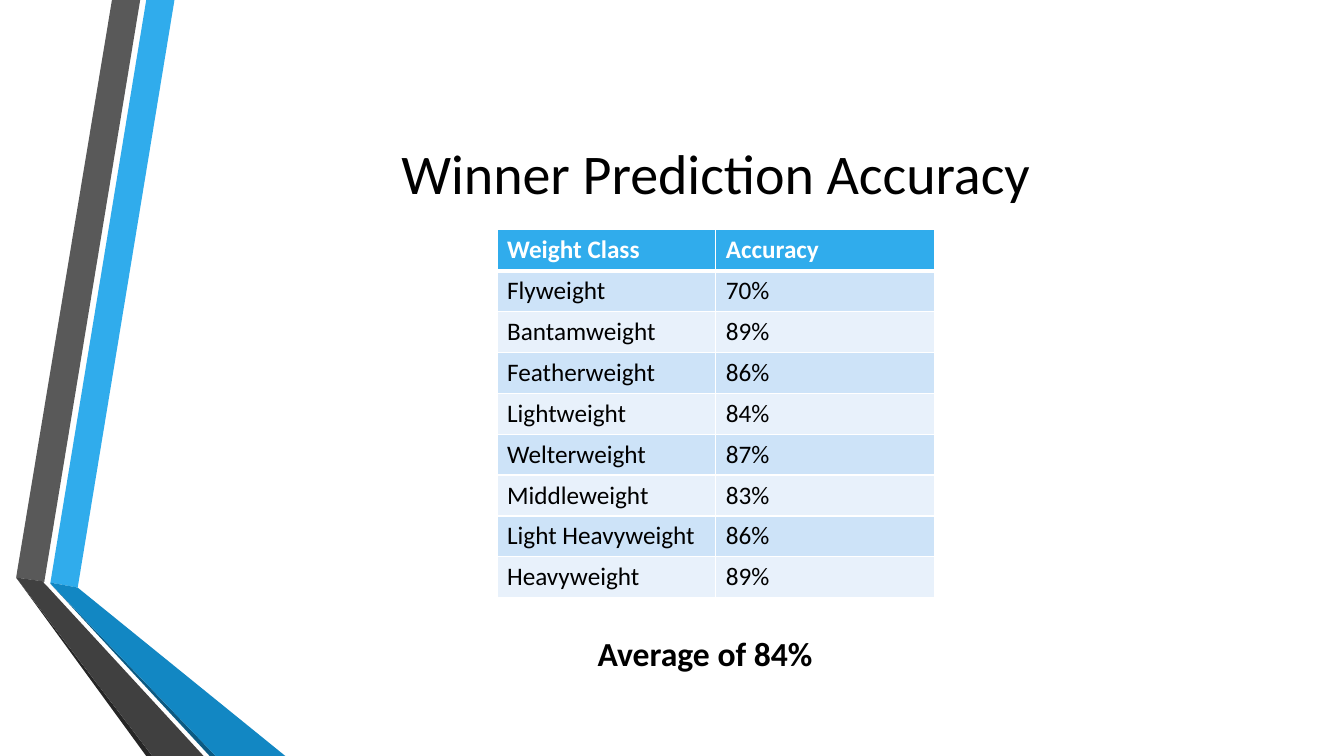
"""Slide: winner prediction accuracy by weight class."""
from dataclasses import dataclass

from lxml import etree
from pptx import Presentation, util as u
from pptx.dml.color import RGBColor
from pptx.enum import text
from pptx.oxml import ns

FONT = "Calibri"
WHITE, BLACK, BLUE = "FFFFFF", "000000", "30ACEC"
BANDS = ("CDE3F8", "E8F1FB")
WIDTH, HEIGHT = u.Inches(13.33), u.Inches(7.5)


@dataclass(frozen=True)
class Ribbon:
    """A filled outline; points are percentages of the slide's size."""
    color: str
    points: tuple[tuple[float, float], ...]


@dataclass(frozen=True)
class Area:
    """A rectangle in percentages of the slide's size."""
    left: float
    top: float
    width: float
    height: float

    def emu(self) -> tuple[int, int, int, int]:
        """Return left, top, width and height as lengths."""
        return (across(self.left), down(self.top),
                across(self.width), down(self.height))


@dataclass(frozen=True)
class Label:
    """A line of text with its area and style."""
    words: str
    area: Area
    size: int
    bold: bool
    align: text.PP_ALIGN
    anchor: text.MSO_ANCHOR


RIBBONS = (
    Ribbon(BLUE, ((3.75, 77.07), (5.78, 77.73), (12.98, 0), (10.88, 0))),
    Ribbon("595959", ((10.43, 0), (8.33, 0), (1.2, 76.4), (3.3, 76.93))),
    Ribbon("262626", ((1.2, 76.4), (10.88, 100), (11.33, 100))),
    Ribbon("0C5A82", ((3.75, 77.2), (15.6, 100), (16.05, 100))),
    Ribbon("1287C3", ((3.75, 77.07), (3.75, 77.2), (16.05, 100),
                      (21.23, 100), (5.78, 77.73))),
    Ribbon("404040", ((15.15, 100), (3.6, 77.73), (3.23, 77.07),
                      (3.3, 76.93), (1.2, 76.4), (11.33, 100))),
)
LABELS = (
    Label("Winner Prediction Accuracy", Area(12.15, 10, 82.2, 25.6), 40, False,
          text.PP_ALIGN.CENTER, text.MSO_ANCHOR.MIDDLE),
    Label("Average of 84%", Area(43.73, 83.07, 19.5, 6.67), 24, True,
          text.PP_ALIGN.LEFT, text.MSO_ANCHOR.TOP),
)
TABLE_AREA = Area(36.98, 30.4, 32.55, 48.67)
ROWS = (
    ("Weight Class", "Accuracy"),
    ("Flyweight", "70%"),
    ("Bantamweight", "89%"),
    ("Featherweight", "86%"),
    ("Lightweight", "84%"),
    ("Welterweight", "87%"),
    ("Middleweight", "83%"),
    ("Light Heavyweight", "86%"),
    ("Heavyweight", "89%"),
)


def across(share: float) -> int:
    """Turn a percentage of the slide's width into a length."""
    return round(WIDTH * share / 100)


def down(share: float) -> int:
    """Turn a percentage of the slide's height into a length."""
    return round(HEIGHT * share / 100)


def paint(target, color: str) -> None:
    """Give a fill a solid colour."""
    target.solid()
    target.fore_color.rgb = RGBColor.from_string(color)


def write(para, words: str, size: int, color: str, bold: bool) -> None:
    """Put styled words into a paragraph."""
    para.text = words
    font = para.font
    font.name, font.size, font.bold = FONT, u.Pt(size), bold
    font.color.rgb = RGBColor.from_string(color)


def draw_ribbon(page, ribbon: Ribbon) -> None:
    """Draw one strip of the side decoration."""
    start, *rest = [(across(x), down(y)) for x, y in ribbon.points]
    builder = page.shapes.build_freeform(*start)
    builder.add_line_segments(rest, close=True)
    shape = builder.convert_to_shape()
    shape.shadow.inherit = False
    shape.line.fill.background()
    paint(shape.fill, ribbon.color)


def draw_label(page, label: Label) -> None:
    """Draw one text box."""
    frame = page.shapes.add_textbox(*label.area.emu()).text_frame
    frame.word_wrap = True
    frame.vertical_anchor = label.anchor
    para = frame.paragraphs[0]
    para.alignment = label.align
    write(para, label.words, label.size, BLACK, label.bold)


def edge_cell(cell, top: int, bottom: int) -> None:
    """Give a cell white borders, one point wide at its sides."""
    properties = cell._tc.get_or_add_tcPr()
    widths = {"lnL": 1, "lnR": 1, "lnT": top, "lnB": bottom}
    for place, (side, width) in enumerate(widths.items()):
        line = etree.Element(ns.qn(f"a:{side}"), w=str(u.Pt(width)))
        fill = etree.SubElement(line, ns.qn("a:solidFill"))
        etree.SubElement(fill, ns.qn("a:srgbClr"), val=WHITE)
        properties.insert(place, line)


def draw_table(page) -> None:
    """Draw the accuracy table with a header and banded rows."""
    frame = page.shapes.add_table(len(ROWS), len(ROWS[0]), *TABLE_AREA.emu())
    for i, row in enumerate(ROWS):
        header = i == 0
        for j, words in enumerate(row):
            cell = frame.table.cell(i, j)
            paint(cell.fill, BLUE if header else BANDS[(i - 1) % 2])
            edge_cell(cell, top=3 if i == 1 else 1, bottom=3 if header else 1)
            write(cell.text_frame.paragraphs[0], words, 18,
                  WHITE if header else BLACK, header)


def main() -> None:
    """Build and save the slide."""
    deck = Presentation()
    deck.slide_width, deck.slide_height = WIDTH, HEIGHT
    page = deck.slides.add_slide(deck.slide_layouts[6])
    paint(page.background.fill, WHITE)
    for ribbon in RIBBONS:
        draw_ribbon(page, ribbon)
    draw_table(page)
    for label in LABELS:
        draw_label(page, label)
    deck.save("out.pptx")


main()
